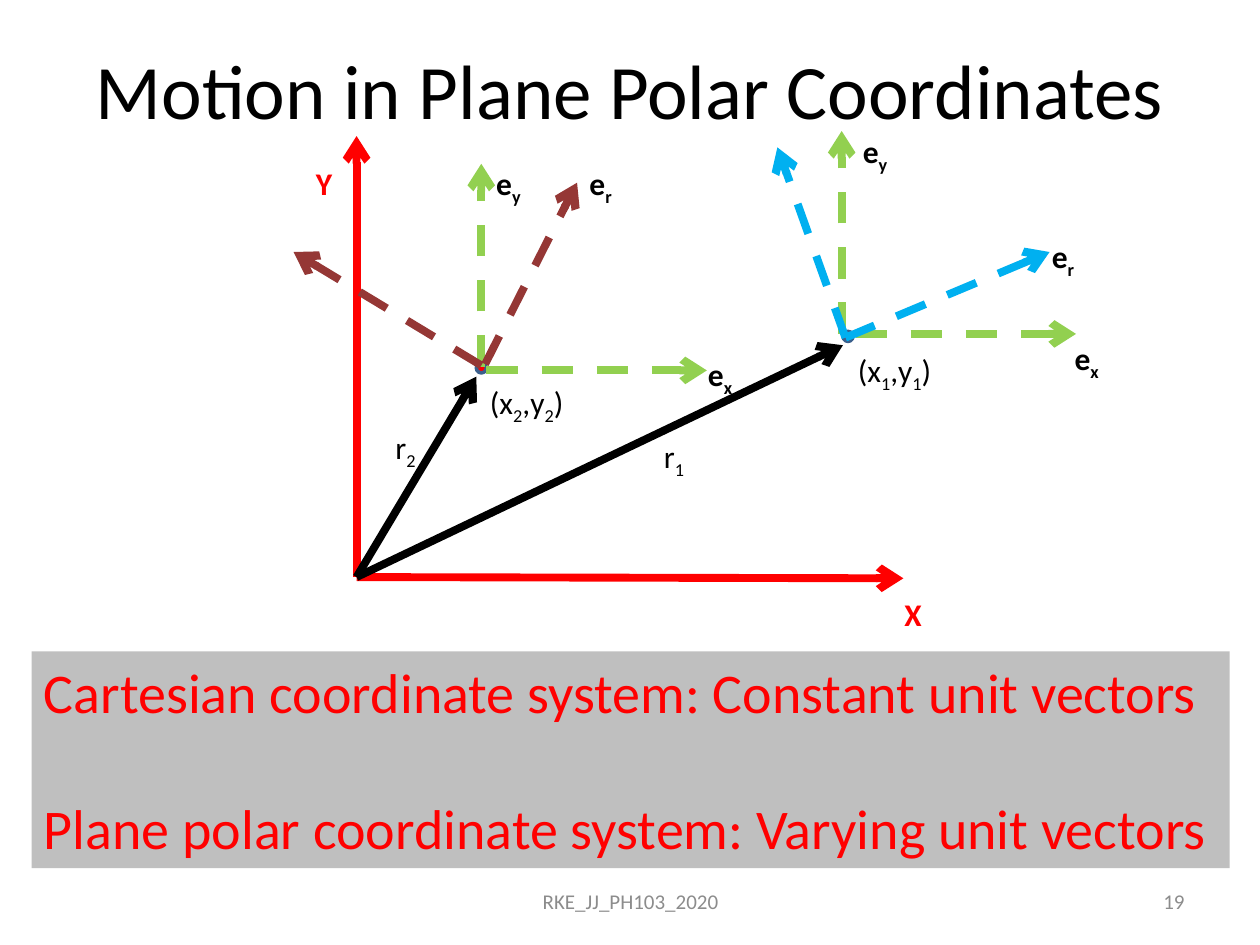
from lxml import etree
from pptx import Presentation
from pptx.dml.color import RGBColor
from pptx.enum import dml, shapes, text
from pptx.oxml.ns import qn
from pptx.util import Inches, Pt

BLACK = RGBColor(0x00, 0x00, 0x00)
RED = RGBColor(0xFF, 0x00, 0x00)
GREEN = RGBColor(0x92, 0xD0, 0x50)
BLUE = RGBColor(0x00, 0xB0, 0xF0)
BROWN = RGBColor(0x95, 0x37, 0x35)
NAVY = RGBColor(0x3A, 0x5F, 0x8C)
SILVER = RGBColor(0xBF, 0xBF, 0xBF)
GRAY = RGBColor(0x8C, 0x8C, 0x8C)
ORIGIN = (2.83, 4.58)


def add_run(p, content, size, color, bold=False):
    r = p.add_run()
    r.text = content
    r.font.name = "Calibri"
    r.font.size = Pt(size)
    r.font.color.rgb = color
    r.font.bold = bold
    return r


def add_title(s, content):
    sp = s.shapes.title
    sp.left, sp.top = Inches(0.5), Inches(0.08)
    sp.width, sp.height = Inches(9), Inches(1.25)
    tf = sp.text_frame
    tf.vertical_anchor = text.MSO_ANCHOR.MIDDLE
    p = tf.paragraphs[0]
    p.alignment = text.PP_ALIGN.CENTER
    add_run(p, content, 44, BLACK)


def add_label(s, pos, width, parts, color=BLACK, bold=False):
    sp = s.shapes.add_textbox(Inches(pos[0]), Inches(pos[1]), Inches(width), Inches(0.4))
    tf = sp.text_frame
    tf.word_wrap = False
    for i, part in enumerate(parts):
        r = add_run(tf.paragraphs[0], part, 18, color, bold)
        if i % 2:
            r._r.get_or_add_rPr().set("baseline", "-25000")


def add_arrow(s, start, end, color, dashed=False):
    c = s.shapes.add_connector(
        shapes.MSO_CONNECTOR.STRAIGHT, *(Inches(v) for v in (*start, *end)))
    c.line.color.rgb = color
    c.line.width = Pt(4.5)
    if dashed:
        c.line.dash_style = dml.MSO_LINE.DASH
    etree.SubElement(c.line._get_or_add_ln(), qn("a:tailEnd"), type="arrow")
    etree.SubElement(c._element.spPr, qn("a:effectLst"))


def add_dot(s, pos):
    sp = s.shapes.add_shape(
        shapes.MSO_SHAPE.OVAL, Inches(pos[0]), Inches(pos[1]), Inches(0.08), Inches(0.08))
    sp.shadow.inherit = False
    sp.fill.solid()
    sp.fill.fore_color.rgb = RED
    sp.line.color.rgb = NAVY
    sp.line.width = Pt(2)


def add_point(s, index, dot, coords, position, radius, cartesian, polar, polar_color, units):
    add_dot(s, dot)
    add_label(s, coords, 0.81, ["(x", index, ",y", index, ")"])
    for start, end in cartesian:
        add_arrow(s, start, end, GREEN, dashed=True)
    add_arrow(s, ORIGIN, position, BLACK)
    add_label(s, radius, 0.38, ["r", index])
    for start, end in polar:
        add_arrow(s, start, end, polar_color, dashed=True)
    for axis, pos in zip("xyr", units):
        add_label(s, pos, 0.4, ["e", axis], bold=True)


def add_summary(s, lines):
    sp = s.shapes.add_shape(
        shapes.MSO_SHAPE.RECTANGLE, Inches(0.25), Inches(5.17), Inches(9.51), Inches(1.72))
    sp.shadow.inherit = False
    sp.fill.solid()
    sp.fill.fore_color.rgb = SILVER
    sp.line.fill.background()
    tf = sp.text_frame
    tf.word_wrap = False
    tf.vertical_anchor = text.MSO_ANCHOR.TOP
    for i, line in enumerate(lines):
        p = tf.add_paragraph() if i else tf.paragraphs[0]
        p.alignment = text.PP_ALIGN.LEFT
        if i:
            p.space_before = Pt(39)
        add_run(p, line, 32, RED)


def add_footer(s, left, width, content, alignment):
    sp = s.shapes.add_textbox(Inches(left), Inches(6.95), Inches(width), Inches(0.4))
    tf = sp.text_frame
    tf.word_wrap = True
    tf.vertical_anchor = text.MSO_ANCHOR.MIDDLE
    p = tf.paragraphs[0]
    p.alignment = alignment
    add_run(p, content, 12, GRAY)


def main():
    prs = Presentation()
    prs.slide_width, prs.slide_height = Inches(10), Inches(7.5)
    s = prs.slides.add_slide(prs.slide_layouts[5])
    add_title(s, "Motion in Plane Polar Coordinates")

    add_label(s, (7.08, 4.67), 0.34, ["X"], RED, bold=True)
    add_label(s, (2.41, 1.25), 0.34, ["Y"], RED, bold=True)
    add_arrow(s, ORIGIN, (7.17, 4.59), RED)
    add_arrow(s, ORIGIN, (2.83, 1.08), RED)

    add_point(
        s, "1", dot=(6.69, 2.63), coords=(6.71, 2.74),
        position=(6.69, 2.74), radius=(5.17, 3.42),
        cartesian=[((6.79, 2.65), (8.54, 2.65)), ((6.68, 2.65), (6.68, 1.04))],
        polar=[((6.71, 2.68), (8.33, 2)), ((6.71, 2.68), (6.17, 1.17))],
        polar_color=BLUE, units=[(8.43, 2.64), (6.75, 1), (8.25, 1.83)])
    add_point(
        s, "2", dot=(3.78, 2.88), coords=(3.79, 2.99),
        position=(3.78, 2.99), radius=(3.04, 3.35),
        cartesian=[((3.86, 2.94), (5.61, 2.94)), ((3.82, 2.91), (3.82, 1.3))],
        polar=[((3.85, 2.89), (4.58, 1.45)), ((3.82, 2.9), (2.33, 2))],
        polar_color=BROWN, units=[(5.52, 2.77), (3.84, 1.25), (4.58, 1.25)])

    add_summary(s, ["Cartesian coordinate system: Constant unit vectors",
                    "Plane polar coordinate system: Varying unit vectors"])
    add_footer(s, 7.17, 2.33, "19", text.PP_ALIGN.RIGHT)
    add_footer(s, 3.42, 3.17, "RKE_JJ_PH103_2020", text.PP_ALIGN.CENTER)
    prs.save("out.pptx")


if __name__ == "__main__":
    main()
